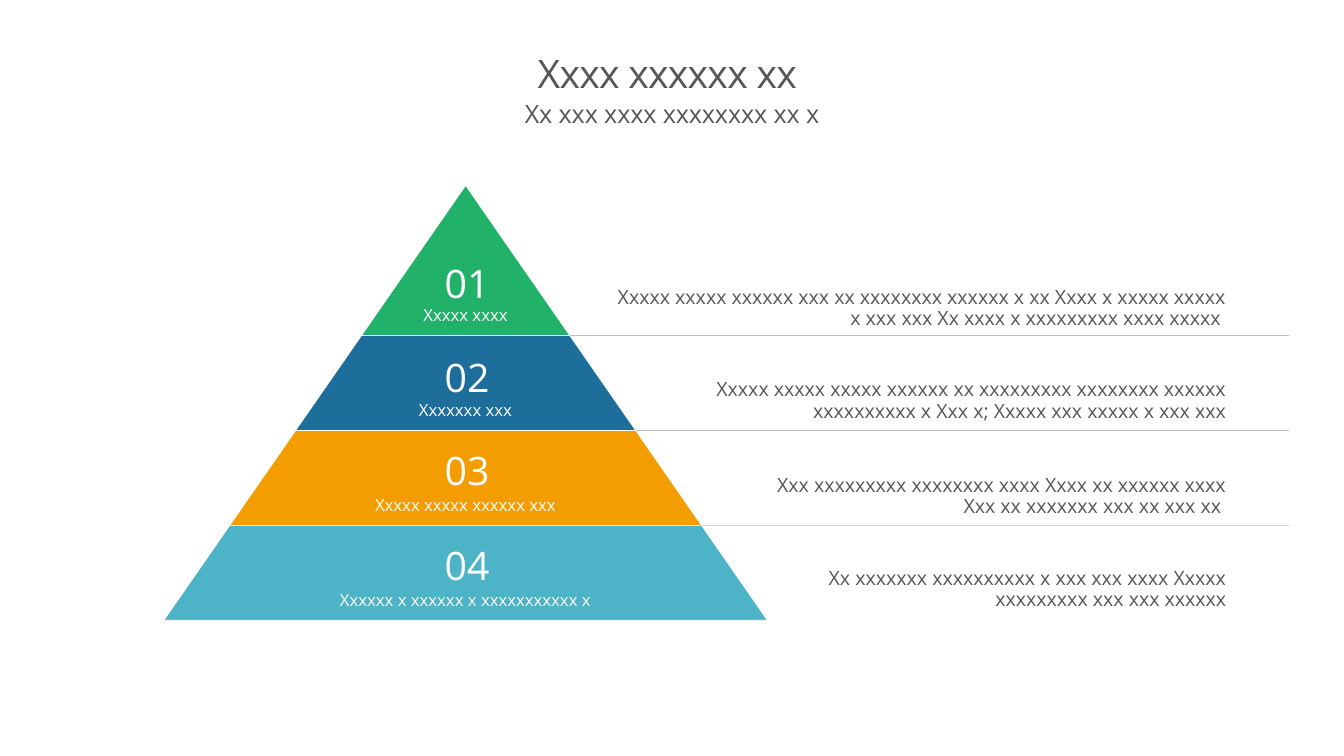
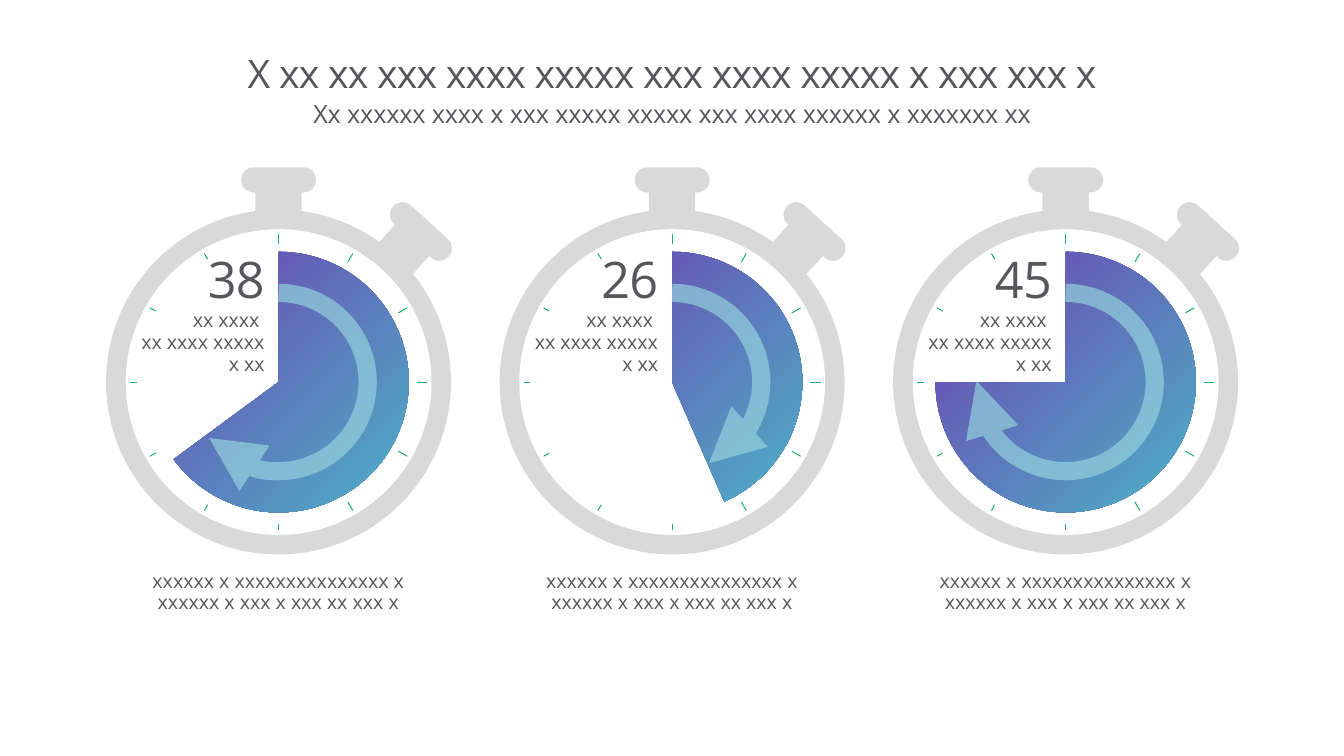
"""Build a four-tier pyramid slide and a slide of three stopwatches."""
from dataclasses import dataclass
from math import cos, radians, sin

from lxml.etree import SubElement
from pptx import Presentation
from pptx.dml.color import RGBColor
from pptx.enum.shapes import MSO_CONNECTOR, MSO_SHAPE
from pptx.enum.text import MSO_ANCHOR, PP_ALIGN
from pptx.oxml import parse_xml
from pptx.oxml.ns import nsdecls, qn
from pptx.util import Pt


@dataclass(frozen=True)
class Theme:
    font: str = "Open Sans"
    ink: str = "57565A"
    white: str = "FFFFFF"
    rule: str = "808080"
    case: str = "D9D9D9"
    green: str = "21B169"
    blue: str = "1D6E9B"
    orange: str = "F49D00"
    teal: str = "4DB3C7"
    purple: str = "6850B4"
    arrow: str = "94D1DD"
    title: int = 28
    subtitle: int = 18
    body: int = 14
    label: int = 12
    count: int = 36


THEME = Theme()

PYRAMID_HEADING = ("Xxxx xxxxxx xx ", "Xx xxx xxxx xxxxxxxx xx x")
TIERS = [
    {"number": "01", "label": "Xxxxx xxxx", "color": THEME.green, "height": 107.2,
     "number_top": 181.4, "note_top": 201.6, "note_width": 457.2,
     "note": "Xxxxx xxxxx xxxxxx xxx xx xxxxxxxx xxxxxx x xx Xxxx x xxxxx xxxxx "
             "x xxx xxx Xx xxxx x xxxxxxxxx xxxx xxxxx "},
    {"number": "02", "label": "Xxxxxxx xxx", "color": THEME.blue, "height": 67.8,
     "number_top": 249.1, "note_top": 267.8, "note_width": 409,
     "note": "Xxxxx xxxxx xxxxx xxxxxx xx xxxxxxxxx xxxxxxxx xxxxxx "
             "xxxxxxxxxx x Xxx x; Xxxxx xxx xxxxx x xxx xxx"},
    {"number": "03", "label": "Xxxxx xxxxx xxxxxx xxx", "color": THEME.orange, "height": 67.8,
     "number_top": 315.4, "note_top": 336.2, "note_width": 347,
     "note": "Xxx xxxxxxxxx xxxxxxxx xxxx Xxxx xx xxxxxx xxxx "
             "Xxx xx xxxxxxx xxx xx xxx xx "},
    {"number": "04", "label": "Xxxxxx x xxxxxx x xxxxxxxxxxx x", "color": THEME.teal, "height": 67.8,
     "number_top": 383, "note_top": 402.5, "note_width": 315.4,
     "note": "Xx xxxxxxx xxxxxxxxxx x xxx xxx xxxx Xxxxx xxxxxxxxx xxx xxx xxxxxx"},
]

WATCH_HEADING = ("X xx xx xxx xxxx xxxxx xxx xxxx xxxxx x xxx xxx x",
                 "Xx xxxxxx xxxx x xxx xxxxx xxxxx xxx xxxx xxxxxx x xxxxxxx xx")
UNIT_LINES = ("xx xxxx ", "xx xxxx xxxxx x xx")
CAPTION = "xxxxxx x xxxxxxxxxxxxxxx x xxxxxx x xxx x xxx xx xxx x"
WATCHES = [
    {"count": "38", "slice_end": 143.64, "arrow_end": 141.18},
    {"count": "26", "slice_end": 66.38, "arrow_end": 65.54},
    {"count": "45", "slice_end": 179.89, "arrow_end": 180.77},
]

APEX_X, APEX_Y, SLOPE = 332.6, 132.5, 0.694
NOTE_RIGHT, RULE_LEFT, RULE_RIGHT = 883.4, 363, 921
WATCH_X, WATCH_STEP, WATCH_Y = 199, 281.1, 272.9
BUTTONS = [
    {"angle": 0, "tilt": 0, "stem_radius": 125.3, "cap_radius": 144.4},
    {"angle": 43.4, "tilt": 42.3, "stem_radius": 128.9, "cap_radius": 148},
]
STEM, CAP = (33.1, 26), (53.5, 18)
TICK_OUTER, TICK_LONG, TICK_SHORT = 106, 7.2, 4.7
ANGLE_UNIT = 0.6


def rgb(color):
    return RGBColor.from_string(color)


def write(paragraph, text, size, color=THEME.ink, spacing=0):
    run = paragraph.add_run()
    run.text = text
    run.font.name = THEME.font
    run.font.size = Pt(size)
    run.font.color.rgb = rgb(color)
    if spacing:
        run.font._element.set("spc", str(round(spacing * 100)))


def add_frame(slide, left, top, width, height, margins=(7.2, 3.6, 7.2, 3.6),
              anchor=MSO_ANCHOR.TOP, wrap=True):
    frame = slide.shapes.add_textbox(Pt(left), Pt(top), Pt(width), Pt(height)).text_frame
    frame.word_wrap = wrap
    frame.vertical_anchor = anchor
    frame.margin_left, frame.margin_top, frame.margin_right, frame.margin_bottom = map(Pt, margins)
    return frame


def set_paragraph(paragraph, align, line_spacing):
    paragraph.alignment = align
    paragraph.line_spacing = line_spacing
    return paragraph


def add_text(slide, box, text, size, color=THEME.ink, align=PP_ALIGN.CENTER,
             line_spacing=0.9, spacing=0, **frame_options):
    frame = add_frame(slide, *box, **frame_options)
    write(set_paragraph(frame.paragraphs[0], align, line_spacing), text, size, color, spacing)


def add_heading(slide, title, subtitle):
    flush = (0, 0, 0, 0)
    add_text(slide, (72, 22.3, 816, 64), title, THEME.title, line_spacing=0.86,
             spacing=-0.5, margins=flush, anchor=MSO_ANCHOR.MIDDLE)
    add_text(slide, (72, 73.4, 816, 31.7), subtitle, THEME.subtitle, line_spacing=0.86,
             spacing=-0.1, margins=flush)


def add_centred(slide, kind, x, y, width, height, fill=None):
    shape = slide.shapes.add_shape(kind, Pt(x - width / 2), Pt(y - height / 2),
                                   Pt(width), Pt(height))
    shape.shadow.inherit = False
    shape.line.fill.background()
    if fill:
        shape.fill.solid()
        shape.fill.fore_color.rgb = rgb(fill)
    else:
        shape.fill.background()
    return shape


def set_line(shape, color, width, opacity=100):
    shape.line.color.rgb = rgb(color)
    shape.line.width = Pt(width)
    outline = shape.element.spPr.find(qn("a:ln"))
    if opacity < 100:
        SubElement(next(outline.iter(qn("a:srgbClr"))), qn("a:alpha"), val=str(opacity * 1000))
    return outline


def add_line(slide, start, end, color, width, opacity=100):
    line = slide.shapes.add_connector(MSO_CONNECTOR.STRAIGHT, *map(Pt, (*start, *end)))
    set_line(line, color, width, opacity)
    SubElement(line.element.spPr, qn("a:effectLst"))


def polar(x, y, angle, radius):
    return x + radius * sin(radians(angle)), y - radius * cos(radians(angle))


def add_tier(slide, tier, top):
    height = tier["height"]
    bottom = top + height
    width = 2 * SLOPE * (bottom - APEX_Y)
    band = add_centred(slide, MSO_SHAPE.TRAPEZOID, APEX_X, top + height / 2,
                       width, height, tier["color"])
    band.adjustments[0] = SLOPE
    set_line(band, THEME.white, 0.5)
    label_width = 0.65 * width
    add_text(slide, (APEX_X - label_width / 2, top, label_width, height), tier["label"],
             THEME.label, THEME.white, margins=(1.4, 1.4, 1.4, 7.2), anchor=MSO_ANCHOR.BOTTOM)
    add_text(slide, (APEX_X - 22.4, tier["number_top"], 46.8, 41), tier["number"],
             THEME.title, THEME.white, line_spacing=1.0, wrap=False)
    note_width = tier["note_width"]
    add_text(slide, (NOTE_RIGHT - note_width, tier["note_top"], note_width, 38),
             tier["note"], THEME.body, align=PP_ALIGN.RIGHT)
    return bottom


def build_pyramid(slide):
    bottom = APEX_Y
    for tier in TIERS[:-1]:
        bottom += tier["height"]
        add_line(slide, (RULE_LEFT, bottom), (RULE_RIGHT, bottom), THEME.rule, 0.5, 50)
    add_heading(slide, *PYRAMID_HEADING)
    top = APEX_Y
    for tier in TIERS:
        top = add_tier(slide, tier, top)


def add_case(slide, x, y):
    add_centred(slide, MSO_SHAPE.OVAL, x, y, 246.4, 246.4, THEME.case)
    for button in BUTTONS:
        cap_at = polar(x, y, button["angle"], button["cap_radius"])
        stem_at = polar(x, y, button["angle"], button["stem_radius"])
        cap = add_centred(slide, MSO_SHAPE.ROUNDED_RECTANGLE, *cap_at, *CAP, THEME.case)
        cap.adjustments[0] = 0.5
        stem = add_centred(slide, MSO_SHAPE.RECTANGLE, *stem_at, *STEM, THEME.case)
        cap.rotation = stem.rotation = button["tilt"]
    add_centred(slide, MSO_SHAPE.OVAL, x, y, 218.4, 218.4, THEME.white)
    for hour in range(12):
        length = TICK_LONG if hour < 6 else TICK_SHORT
        add_line(slide, polar(x, y, hour * 30, TICK_OUTER),
                 polar(x, y, hour * 30, TICK_OUTER - length), THEME.green, 0.75)


def add_slice(slide, x, y, end):
    wedge = add_centred(slide, MSO_SHAPE.PIE, x, y, 186, 186.2)
    wedge.adjustments[0] = (180 - end) * ANGLE_UNIT
    wedge.adjustments[1] = 270 * ANGLE_UNIT
    properties = wedge.element.spPr
    properties.find(qn("a:xfrm")).set("flipH", "1")
    gradient = parse_xml(
        f'<a:gradFill {nsdecls("a")}><a:gsLst>'
        f'<a:gs pos="0"><a:srgbClr val="{THEME.teal}"/></a:gs>'
        f'<a:gs pos="84000"><a:srgbClr val="{THEME.purple}"/></a:gs></a:gsLst>'
        '<a:path path="circle"><a:fillToRect l="100000" t="100000"/></a:path></a:gradFill>')
    properties.replace(properties.find(qn("a:noFill")), gradient)


def add_arrow(slide, x, y, end):
    arrow = add_centred(slide, MSO_SHAPE.ARC, x, y, 127.4, 127.4)
    arrow.adjustments[0] = 270 * ANGLE_UNIT
    arrow.adjustments[1] = end * ANGLE_UNIT
    outline = set_line(arrow, THEME.arrow, 13, 70)
    SubElement(outline, qn("a:tailEnd"), type="triangle")


def add_watch(slide, watch, x, y):
    add_case(slide, x, y)
    add_slice(slide, x, y, watch["slice_end"])
    add_arrow(slide, x, y, watch["arrow_end"])
    reading = add_frame(slide, x - 105.8, 200.9, 103, 72)
    count = set_paragraph(reading.paragraphs[0], PP_ALIGN.RIGHT, Pt(16))
    write(count, watch["count"], THEME.count, spacing=-0.5)
    units = set_paragraph(reading.add_paragraph(), PP_ALIGN.RIGHT, Pt(16))
    write(units, UNIT_LINES[0], THEME.body)
    units.add_line_break()
    write(units, UNIT_LINES[1], THEME.body)
    add_text(slide, (x - 104.4, 404.6, 208.8, 38), CAPTION, THEME.body)


def build_watches(slide):
    add_heading(slide, *WATCH_HEADING)
    for index, watch in enumerate(WATCHES):
        add_watch(slide, watch, WATCH_X + index * WATCH_STEP, WATCH_Y)


def main():
    deck = Presentation()
    deck.slide_width, deck.slide_height = Pt(960), Pt(540)
    for build in (build_pyramid, build_watches):
        build(deck.slides.add_slide(deck.slide_layouts[6]))
    deck.save("out.pptx")


if __name__ == "__main__":
    main()
